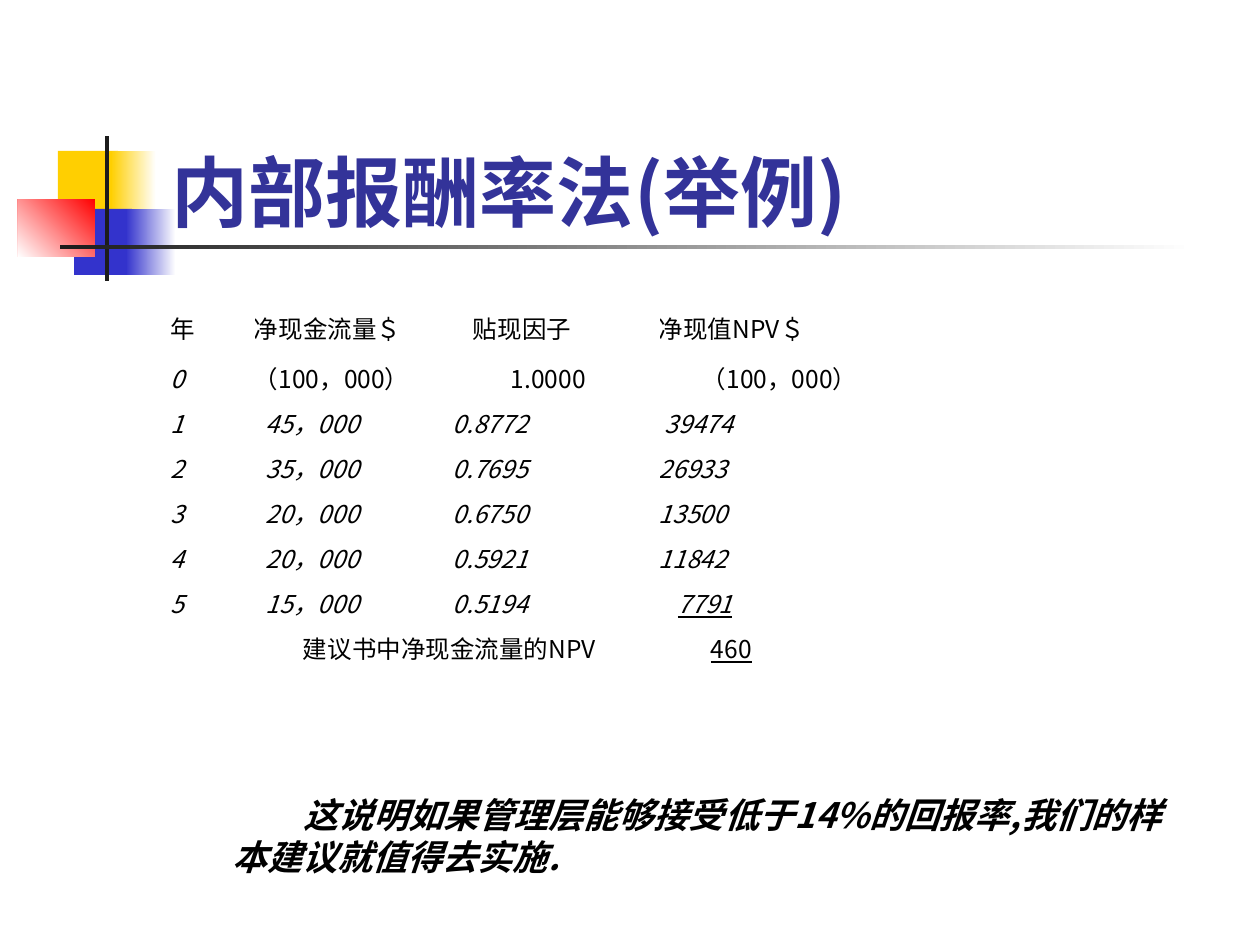
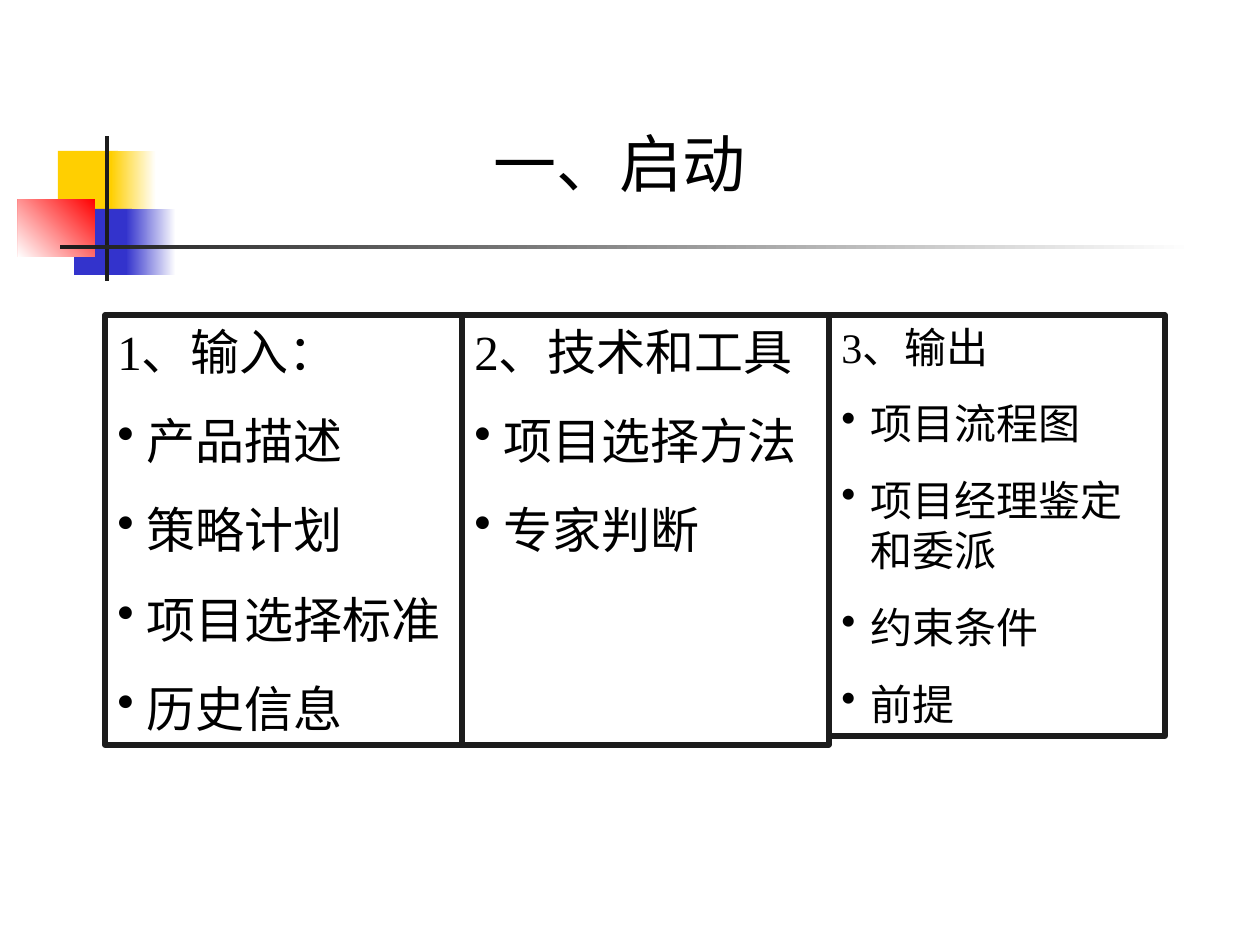
import pptx
import pptx.util
import pptx.dml.color
import pptx.enum.shapes
import pptx.enum.text
import pptx.oxml.ns
from lxml import etree

PIXELS_PER_INCH = 126
SANS = "Noto Sans CJK SC"
SERIF = "Times New Roman"
LINE_HEIGHT = 1.2

BLACK = pptx.dml.color.RGBColor(0x00, 0x00, 0x00)
WHITE = pptx.dml.color.RGBColor(0xFF, 0xFF, 0xFF)
INK = pptx.dml.color.RGBColor(0x1C, 0x1C, 0x1C)
YELLOW = pptx.dml.color.RGBColor(0xFF, 0xCF, 0x01)
BLUE = pptx.dml.color.RGBColor(0x33, 0x33, 0xCC)
RED = pptx.dml.color.RGBColor(0xFF, 0x00, 0x00)
TITLE_BLUE = pptx.dml.color.RGBColor(0x33, 0x33, 0x99)

# Left, top, width, height, colours (start and end of a gradient), angle
DECORATIONS = [
    (58, 151, 60, 66, [YELLOW], 0),
    (111, 151, 45, 66, [WHITE, YELLOW], 180),
    (74, 209, 58, 66, [BLUE], 0),
    (126, 209, 50, 66, [WHITE, BLUE], 180),
    (18, 199, 77, 58, [RED, WHITE], 225),
    (105, 136, 4, 145, [INK], 0),
    (60, 245, 1134, 4, [WHITE, INK], 180),
]

# Each cell holds its text and its left indent in px
YEARLY_VALUES = [
    ("45，000", "0.8772", "39474", 6),
    ("35，000", "0.7695", "26933", 0),
    ("20，000", "0.6750", "13500", 0),
    ("20，000", "0.5921", "11842", 0),
    ("15，000", "0.5194", "7791", 19),
]
CASH_FLOW_ROWS = [
    [("年", 0), ("净现金流量＄", 0), ("贴现因子", 20), ("净现值NPV＄", 0)],
    [("0", 0), ("（100，000）", 0), ("1.0000", 58), ("（100，000）", 43)],
    *[[(str(year), 0), (flow, 12), (factor, 0), (value, indent)]
      for year, (flow, factor, value, indent) in enumerate(YEARLY_VALUES, 1)],
    [("", 0), ("建议书中净现金流量的NPV", 49), ("", 0), ("460", 52)],
]
COLUMN_WIDTHS = [84, 199, 206, 261]
HEADER_HEIGHT, ROW_HEIGHT = 55, 45
UNDERLINED = ("7791", "460")

# Left, width, height, font size, heading, items
PROCESS_BOXES = [
    (105, 357, 430, 28, "1、输入：",
     ["产品描述", "策略计划", "项目选择标准", "历史信息"]),
    (462, 367, 430, 28, "2、技术和工具", ["项目选择方法", "专家判断"]),
    (829, 336, 421, 24, "3、输出",
     ["项目流程图", "项目经理鉴定和委派", "约束条件", "前提"]),
]


def px(length):
    return pptx.util.Emu(round(length * 914400 / PIXELS_PER_INCH))


def place(shape, left, top, width, height):
    shape.left, shape.top = px(left), px(top)
    shape.width, shape.height = px(width), px(height)


def format_runs(paragraph, size, font_name, color=BLACK, bold=False,
                italic=False, underline=False):
    for run in paragraph.runs:
        font = run.font
        font.size = pptx.util.Pt(size)
        font.bold, font.italic, font.underline = bold, italic, underline
        font.color.rgb = color
        font.name = font_name
        east_asian = etree.SubElement(
            run._r.get_or_add_rPr(), pptx.oxml.ns.qn("a:ea"))
        east_asian.set("typeface", SANS)


def set_line_height(paragraph, size, factor=LINE_HEIGHT):
    paragraph.line_spacing = pptx.util.Pt(round(size * factor, 1))


def add_bullet(paragraph, hanging):
    properties = paragraph._p.get_or_add_pPr()
    properties.set("marL", str(px(hanging)))
    properties.set("indent", str(-px(hanging)))
    color = etree.SubElement(properties, pptx.oxml.ns.qn("a:buClr"))
    etree.SubElement(color, pptx.oxml.ns.qn("a:srgbClr")).set("val", str(BLACK))
    bullet = etree.SubElement(properties, pptx.oxml.ns.qn("a:buChar"))
    bullet.set("char", "•")


def add_rectangle(slide, left, top, width, height):
    shape = slide.shapes.add_shape(
        pptx.enum.shapes.MSO_SHAPE.RECTANGLE,
        px(left), px(top), px(width), px(height))
    shape.shadow.inherit = False
    return shape


def decorate_layout(layout, slide):
    """Draw the corner squares and rules on a slide, then move them to its layout."""
    for index, (left, top, width, height, colors, angle) in enumerate(DECORATIONS):
        shape = add_rectangle(slide, left, top, width, height)
        shape.line.fill.background()
        if len(colors) == 1:
            shape.fill.solid()
            shape.fill.fore_color.rgb = colors[0]
        else:
            shape.fill.gradient()
            shape.fill.gradient_angle = angle
            for stop, color, position in zip(shape.fill.gradient_stops, colors, (0, 1)):
                stop.color.rgb = color
                stop.position = position
        layout.shapes.element.insert(index + 2, shape.element) if hasattr(
            layout.shapes, "element") else layout.element.cSld.spTree.insert(
            index + 2, shape.element)


def set_title(slide, text, box, size, font_name, color, anchor, alignment,
              bold=False, line_height=LINE_HEIGHT):
    title = slide.shapes.title
    place(title, *box)
    frame = title.text_frame
    frame.text = text
    frame.word_wrap = True
    frame.auto_size = pptx.enum.text.MSO_AUTO_SIZE.NONE
    frame.vertical_anchor = anchor
    paragraph = frame.paragraphs[0]
    paragraph.alignment = alignment
    set_line_height(paragraph, size, line_height)
    format_runs(paragraph, size, font_name, color, bold)


def add_cash_flow_table(slide, left, top):
    height = HEADER_HEIGHT + ROW_HEIGHT * (len(CASH_FLOW_ROWS) - 1)
    table = slide.shapes.add_table(
        len(CASH_FLOW_ROWS), len(COLUMN_WIDTHS), px(left), px(top),
        px(sum(COLUMN_WIDTHS)), px(height)).table
    table.first_row = table.horz_banding = False
    for column, width in zip(table.columns, COLUMN_WIDTHS):
        column.width = px(width)
    last_row = len(CASH_FLOW_ROWS) - 1
    table.cell(last_row, 1).merge(table.cell(last_row, 2))
    for row_index, row in enumerate(CASH_FLOW_ROWS):
        table.rows[row_index].height = px(ROW_HEIGHT if row_index else HEADER_HEIGHT)
        for column_index, (text, indent) in enumerate(row):
            cell = table.cell(row_index, column_index)
            cell.fill.background()
            cell.margin_left = px(indent)
            cell.margin_top = cell.margin_right = cell.margin_bottom = 0
            cell.vertical_anchor = pptx.enum.text.MSO_ANCHOR.MIDDLE
            if not text:
                continue
            cell.text_frame.text = text
            is_italic = (1 < row_index < last_row
                         or (row_index == 1 and column_index == 0))
            format_runs(cell.text_frame.paragraphs[0], 14, SANS,
                        italic=is_italic, underline=text in UNDERLINED)


def add_conclusion(slide, text, left, top, width, height):
    box = slide.shapes.add_textbox(px(left), px(top), px(width), px(height))
    box.text_frame.word_wrap = True
    box.text_frame.text = text
    paragraph = box.text_frame.paragraphs[0]
    paragraph._p.get_or_add_pPr().set("indent", str(px(71)))
    set_line_height(paragraph, 20)
    format_runs(paragraph, 20, SANS, bold=True, italic=True)


def add_process_box(slide, left, width, height, size, heading, items):
    shape = add_rectangle(slide, left, 315, width, height)
    shape.fill.background()
    shape.line.color.rgb = INK
    shape.line.width = pptx.util.Pt(3)
    frame = shape.text_frame
    frame.word_wrap = True
    frame.vertical_anchor = pptx.enum.text.MSO_ANCHOR.TOP
    frame.text = "\n".join([heading, *items])
    for index, paragraph in enumerate(frame.paragraphs):
        paragraph.alignment = pptx.enum.text.PP_ALIGN.LEFT
        if index:
            add_bullet(paragraph, 29)
            paragraph.space_before = pptx.util.Pt(size * 0.625)
        set_line_height(paragraph, size)
        format_runs(paragraph, size, SERIF)


def build_return_rate_slide(slide):
    set_title(slide, "内部报酬率法(举例)", (159, 126, 776, 117), 44, SANS, TITLE_BLUE,
              pptx.enum.text.MSO_ANCHOR.BOTTOM, pptx.enum.text.PP_ALIGN.LEFT, bold=True)
    add_cash_flow_table(slide, 170, 300)
    add_conclusion(
        slide, "这说明如果管理层能够接受低于14%的回报率,我们的样本建议就值得去实施.",
        220, 787, 966, 97)


def build_initiation_slide(slide):
    set_title(slide, "一、启动", (284, 126, 672, 105), 36, SERIF, BLACK,
              pptx.enum.text.MSO_ANCHOR.TOP, pptx.enum.text.PP_ALIGN.CENTER,
              line_height=LINE_HEIGHT * 0.9)
    for box in PROCESS_BOXES:
        add_process_box(slide, *box)


def main():
    presentation = pptx.Presentation()
    presentation.slide_width = px(1260)
    presentation.slide_height = px(945)
    layout = presentation.slide_layouts.get_by_name("Title Only")
    return_rate_slide = presentation.slides.add_slide(layout)
    decorate_layout(layout, return_rate_slide)
    build_return_rate_slide(return_rate_slide)
    build_initiation_slide(presentation.slides.add_slide(layout))
    presentation.save("out.pptx")


if __name__ == "__main__":
    main()
